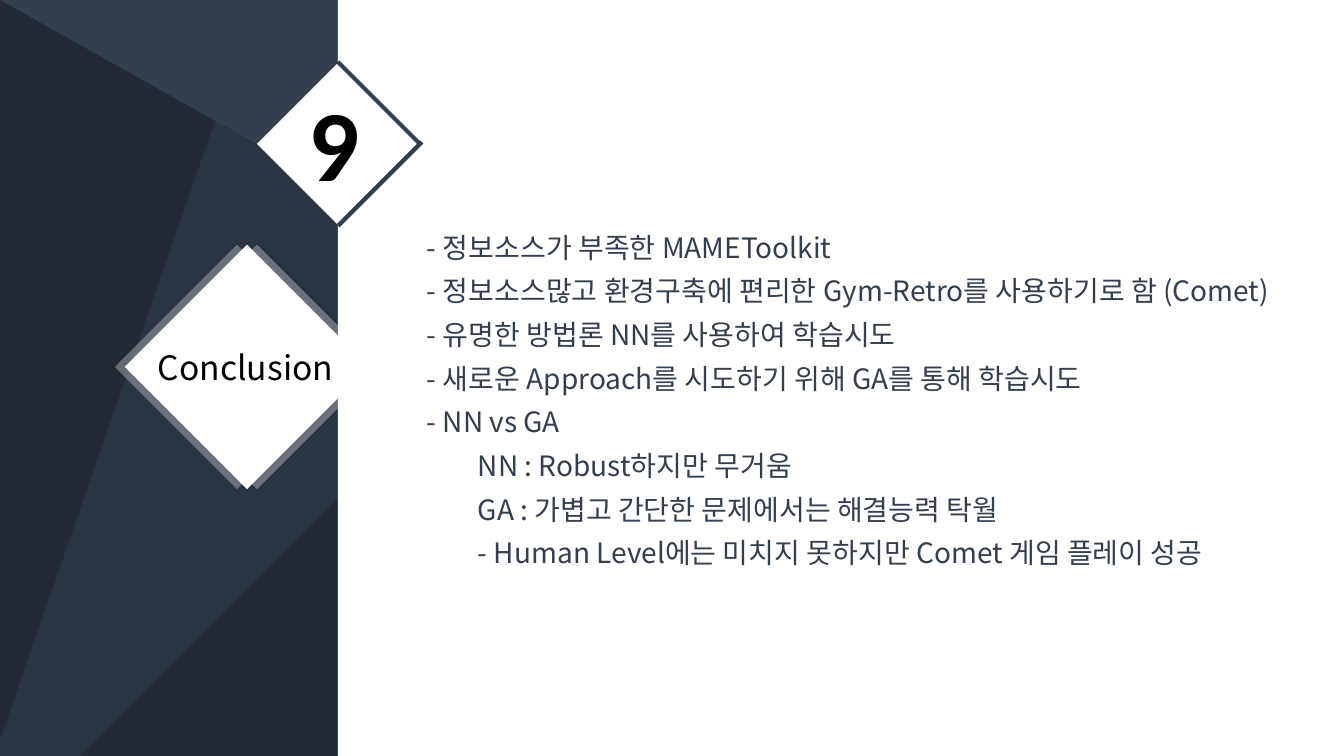
from lxml import etree
from pptx import Presentation
from pptx import util as u
from pptx.dml.color import RGBColor
from pptx.enum import shapes, text
from pptx.oxml import ns

WIDE, HIGH, EDGE = 1344, 756, 338
SCALE = 12192000 / WIDE
NAVY, SLATE, DARK, WHITE, BLACK = "333F4F", "2A3442", "222A35", "FFFFFF", "000000"
SANS = "Noto Sans CJK SC"

INDENT = 51
POINTS = [
    ("- 정보소스가 부족한 MAMEToolkit", 0),
    ("- 정보소스많고 환경구축에 편리한 Gym-Retro를 사용하기로 함 (Comet)", 0),
    ("- 유명한 방법론 NN를 사용하여 학습시도", 0),
    ("- 새로운 Approach를 시도하기 위해 GA를 통해 학습시도", 0),
    ("- NN vs GA", 0),
    ("NN : Robust하지만 무거움", 1),
    ("GA : 가볍고 간단한 문제에서는 해결능력 탁월", 1),
    ("- Human Level에는 미치지 못하지만 Comet 게임 플레이 성공", 1),
]

FACETS = [
    (DARK, [(0, 0), (EDGE, 190), (EDGE, HIGH), (0, HIGH)]),
    (SLATE, [(215, 121), (EDGE, 190), (EDGE, 498), (80, HIGH), (0, HIGH), (0, 740)]),
]


def px(num):
    return u.Emu(round(num * SCALE))


def color(code):
    return RGBColor.from_string(code)


def apply(item, values):
    for name, value in values.items():
        setattr(item, name, value)


def paint(shape, code, alpha=100):
    """Fill without outline or shadow; alpha is opacity in percent."""
    shape.shadow.inherit = False
    shape.line.fill.background()
    shape.fill.solid()
    shape.fill.fore_color.rgb = color(code)
    if alpha < 100:
        tone = shape.element.spPr.find(".//" + ns.qn("a:srgbClr"))
        etree.SubElement(tone, ns.qn("a:alpha"), val=str(alpha * 1000))


def facet(slide, code, dots):
    """Draw a filled polygon through the dots."""
    start, *rest = [(px(x), px(y)) for x, y in dots]
    form = slide.shapes.build_freeform(*start, scale=1.0)
    form.add_line_segments(rest, close=True)
    paint(form.convert_to_shape(), code)


def block(slide, left, top, width, height, turn=0, alpha=100):
    """Draw a white rectangle, turned by some degrees."""
    shape = slide.shapes.add_shape(shapes.MSO_SHAPE.RECTANGLE,
                                   px(left), px(top), px(width), px(height))
    shape.rotation = turn
    paint(shape, WHITE, alpha)


def diamond(slide, mid_x, mid_y, side, alpha=100):
    block(slide, mid_x - side / 2, mid_y - side / 2, side, side, 45, alpha)


def stroke(slide, *ends):
    line = slide.shapes.add_connector(shapes.MSO_CONNECTOR.STRAIGHT, *map(px, ends))
    line.line.color.rgb = color(NAVY)
    line.line.width = u.Pt(3)
    etree.SubElement(line.element.spPr, ns.qn("a:effectLst"))


def place(shape, left, top, width, height, side=10, rim=5):
    """Set the box and its insets: side for left and right, rim for the others."""
    apply(shape, {"left": px(left), "top": px(top),
                  "width": px(width), "height": px(height)})
    apply(shape.text_frame, {
        "margin_left": px(side), "margin_right": px(side),
        "margin_top": px(rim), "margin_bottom": px(rim),
        "word_wrap": True, "auto_size": text.MSO_AUTO_SIZE.NONE,
        "vertical_anchor": text.MSO_ANCHOR.TOP,
    })


def write(shape, lines, size, code, face=SANS, bold=False, gap=1.0):
    """Fill the shape with one paragraph for each (words, level) pair."""
    frame = shape.text_frame
    for i, (words, level) in enumerate(lines):
        para = frame.add_paragraph() if i else frame.paragraphs[0]
        apply(para, {"alignment": text.PP_ALIGN.LEFT, "line_spacing": gap})
        run = para.add_run()
        run.text = words
        apply(run.font, {"size": u.Pt(size), "name": face, "bold": bold})
        run.font.color.rgb = color(code)

    for props in shape.element.iter(ns.qn("a:rPr")):
        etree.SubElement(props, ns.qn("a:ea"), typeface=face)
    for props, (_, level) in zip(shape.element.iter(ns.qn("a:pPr")), lines):
        props.set("marL", str(px(level * INDENT)))


def backdrop(slide):
    fill = slide.background.fill
    fill.solid()
    fill.fore_color.rgb = color(NAVY)
    for code, dots in FACETS:
        facet(slide, code, dots)
    block(slide, EDGE, 0, WIDE - EDGE, HIGH)


def badge(slide, number):
    """Draw the numbered diamond with its two dark edges."""
    diamond(slide, 339, 144, 116)
    stroke(slide, 338, 62, 420, 144)
    stroke(slide, 422, 142, 338, 226)
    box = slide.shapes.add_textbox(0, 0, 0, 0)
    place(box, 299, 76, 76, 131)
    write(box, [(number, 0)], 72, BLACK, "Calibri", True)


def heading(slide, words):
    """Set the title on a white diamond with a faint one at each side."""
    for shift, alpha in ((10, 30), (-10, 30), (0, 100)):
        diamond(slide, 247 + shift, 367, 173, alpha)
    title = slide.shapes.title
    title.element.getparent().append(title.element)
    place(title, 148, 342, 215, 50)
    write(title, [(words, 0)], 24, BLACK)


def main():
    deck = Presentation()
    apply(deck, {"slide_width": px(WIDE), "slide_height": px(HIGH)})
    slide = deck.slides.add_slide(deck.slide_layouts[5])
    backdrop(slide)
    badge(slide, "9")
    heading(slide, "Conclusion")
    body = slide.shapes.add_textbox(0, 0, 0, 0)
    place(body, 420, 216, 903, 357, side=7, rim=4)
    write(body, POINTS, 20, NAVY, gap=1.3)
    deck.save("out.pptx")


if __name__ == "__main__":
    main()
